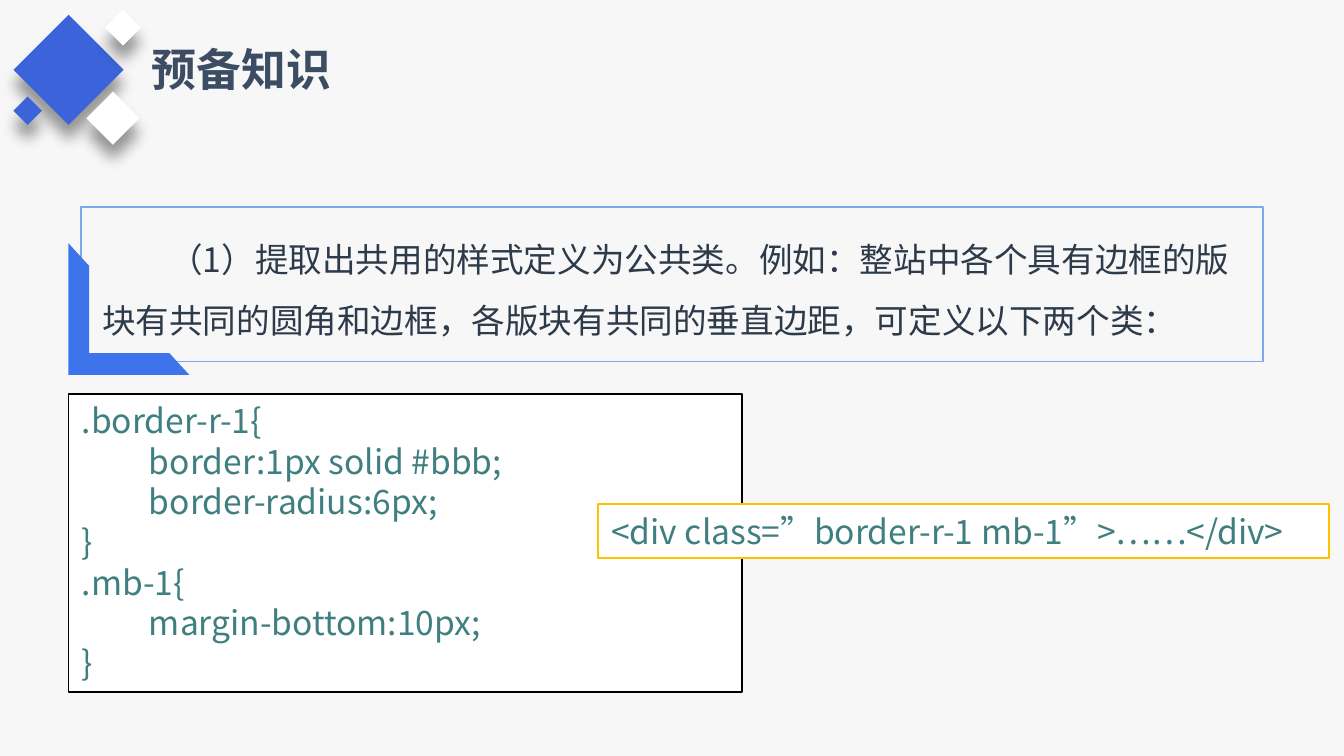
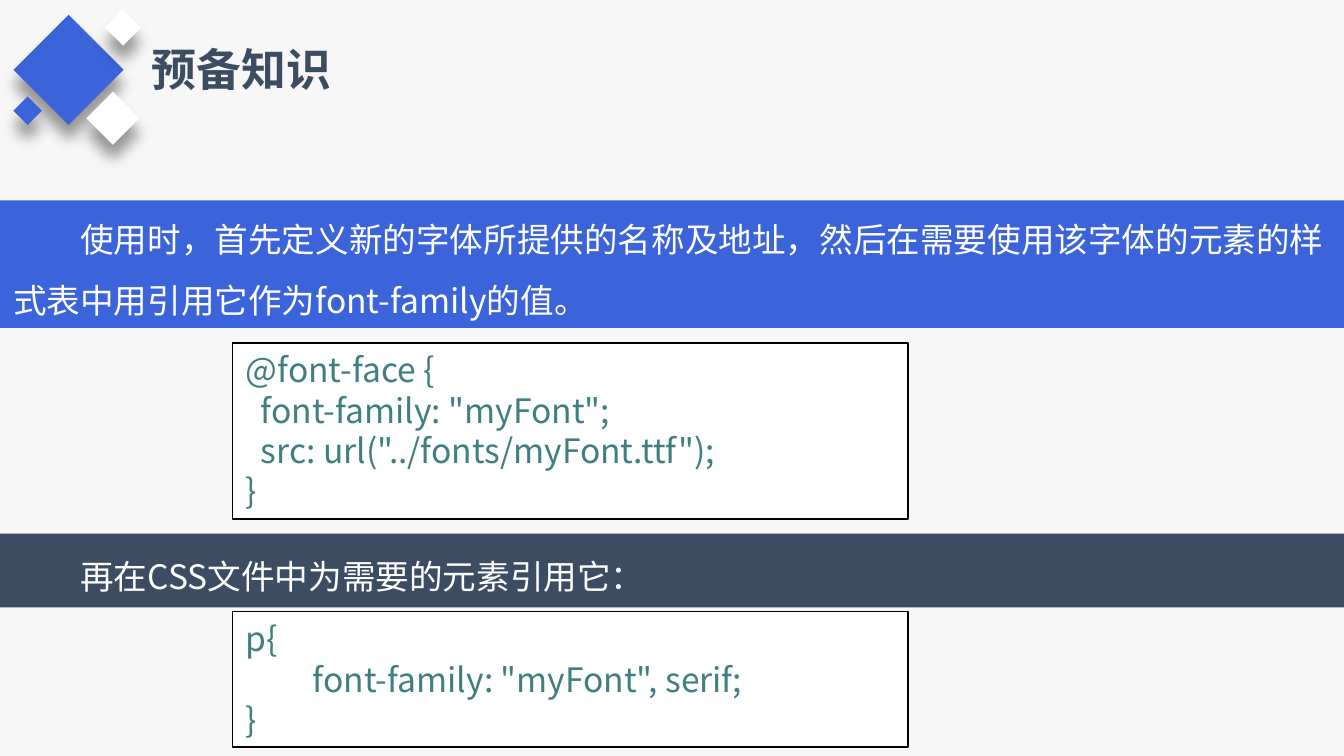
import pptx
import pptx.dml.color
import pptx.enum.shapes
import pptx.enum.text
import pptx.oxml
import pptx.oxml.ns
import pptx.util
from lxml import etree

Inches = pptx.util.Inches
ANCHOR = pptx.enum.text.MSO_ANCHOR
AUTO_SIZE = pptx.enum.text.MSO_AUTO_SIZE
SHAPE = pptx.enum.shapes.MSO_SHAPE

FONT = "Noto Sans CJK SC"
BACKGROUND = "F7F7F7"
BLUE = "3B64DA"
BRIGHT_BLUE = "3D74EB"
PALE_BLUE = "7FA6F2"
SLATE = "3C4D63"
INK = "2D3A4A"
CODE_GREEN = "3F7F7F"
AMBER = "FFC000"
WHITE = "FFFFFF"
BLACK = "000000"

# left, top, side, colour
DIAMONDS = [
    (0.22, 0.23, 0.58, BLUE),
    (0.7, 0.74, 0.28, WHITE),
    (0.82, 0.11, 0.19, WHITE),
    (0.13, 0.75, 0.15, BLUE),
]

SHADOW = (
    f'<a:effectLst {pptx.oxml.ns.nsdecls("a")}>'
    '<a:outerShdw blurRad="101600" dist="101600" dir="5400000" rotWithShape="0">'
    '<a:srgbClr val="000000"><a:alpha val="40000"/></a:srgbClr>'
    "</a:outerShdw></a:effectLst>"
)

CODE_FRAME = {
    "word_wrap": True,
    "auto_size": AUTO_SIZE.SHAPE_TO_FIT_TEXT,
    "vertical_anchor": ANCHOR.TOP,
}
PROSE_FRAME = {
    "word_wrap": True,
    "vertical_anchor": ANCHOR.MIDDLE,
    "margin_left": Inches(0.1),
    "margin_right": Inches(0.1),
    "margin_top": Inches(0.05),
    "margin_bottom": Inches(0.12),
}
TITLE_FRAME = {"word_wrap": False, "auto_size": AUTO_SIZE.SHAPE_TO_FIT_TEXT}


def rgb(colour):
    return pptx.dml.color.RGBColor.from_string(colour)


def set_attributes(target, values):
    for name, value in values.items():
        setattr(target, name, value)


def add_box(slide, frame, fill=None, line=None, kind=SHAPE.RECTANGLE):
    """Add a preset shape; frame is left, top, width, height in inches."""
    shape = slide.shapes.add_shape(kind, *map(Inches, frame))
    shape.shadow.inherit = False
    if fill:
        shape.fill.solid()
        shape.fill.fore_color.rgb = rgb(fill)
    else:
        shape.fill.background()
    if line:
        shape.line.color.rgb = rgb(line)
        shape.line.width = pptx.util.Pt(1)
    else:
        shape.line.fill.background()
    return shape


def write_text(shape, lines, colour, frame_format, size=18, bold=False, line_spacing=None):
    text_frame = shape.text_frame
    set_attributes(text_frame, frame_format)
    for index, line in enumerate(lines):
        paragraph = text_frame.paragraphs[0] if index == 0 else text_frame.add_paragraph()
        set_attributes(paragraph, {
            "alignment": pptx.enum.text.PP_ALIGN.LEFT,
            "line_spacing": line_spacing,
        })
        run = paragraph.add_run()
        run.text = line
        set_attributes(run.font, {"name": FONT, "size": pptx.util.Pt(size), "bold": bold})
        run.font.color.rgb = rgb(colour)
        east_asian = etree.SubElement(run.font._element, pptx.oxml.ns.qn("a:ea"))
        east_asian.set("typeface", FONT)


def add_prose(slide, frame, text, colour, fill=None, line=None, margin_left=0.1):
    """Add a box holding one paragraph with an indented first line."""
    shape = add_box(slide, frame, fill, line)
    frame_format = {**PROSE_FRAME, "margin_left": Inches(margin_left)}
    write_text(shape, [text], colour, frame_format, line_spacing=1.5)
    properties = shape.text_frame.paragraphs[0]._p.get_or_add_pPr()
    properties.set("marL", "0")
    properties.set("indent", str(Inches(0.5)))


def add_code(slide, frame, lines, line=BLACK):
    write_text(add_box(slide, frame, WHITE, line), lines, CODE_GREEN, CODE_FRAME)


def add_corner(slide):
    corner = add_box(slide, (0.47, 1.85, 0.98, 0.9), BRIGHT_BLUE, kind=SHAPE.HALF_FRAME)
    corner.rotation = 270
    corner.adjustments[0] = 0.17
    corner.adjustments[1] = 0.18


def add_titled_slide(presentation, title):
    slide = presentation.slides.add_slide(presentation.slide_layouts[6])
    title_box = slide.shapes.add_textbox(*map(Inches, (1.03, 0.26, 1.54, 0.5)))
    write_text(title_box, [title], SLATE, TITLE_FRAME, size=24, bold=True)
    for left, top, side, colour in DIAMONDS:
        diamond = add_box(slide, (left, top, side, side), colour)
        diamond.rotation = 45
        properties = diamond._element.spPr
        properties.replace(
            properties.find(pptx.oxml.ns.qn("a:effectLst")), pptx.oxml.parse_xml(SHADOW)
        )
    return slide


def build_common_classes(presentation):
    slide = add_titled_slide(presentation, "预备知识")
    add_prose(
        slide, (0.6, 1.54, 8.8, 1.15),
        "（1）提取出共用的样式定义为公共类。例如：整站中各个具有边框的版块有共同的圆角和边框，"
        "各版块有共同的垂直边距，可定义以下两个类：",
        INK, line=PALE_BLUE, margin_left=0.16,
    )
    add_corner(slide)
    add_code(slide, (0.51, 2.93, 5.01, 2.22), [
        ".border-r-1{",
        "\tborder:1px solid #bbb;",
        "\tborder-radius:6px;",
        "}",
        ".mb-1{",
        "\tmargin-bottom:10px;",
        "}",
    ])
    add_code(slide, (4.45, 3.75, 5.44, 0.4),
             ["<div class=”border-r-1 mb-1”>……</div>"], AMBER)


def build_font_face(presentation):
    slide = add_titled_slide(presentation, "预备知识")
    add_prose(
        slide, (0, 1.49, 10, 0.95),
        "使用时，首先定义新的字体所提供的名称及地址，然后在需要使用该字体的元素的样式表中用引用它作为"
        "font-family的值。",
        WHITE, fill=BLUE,
    )
    add_prose(slide, (0, 3.97, 10, 0.55), "再在CSS文件中为需要的元素引用它：", WHITE, fill=SLATE)
    add_code(slide, (1.73, 2.55, 5.03, 1.31), [
        "@font-face {",
        '  font-family: "myFont";',
        '  src: url("../fonts/myFont.ttf");',
        "}",
    ])
    add_code(slide, (1.73, 4.55, 5.03, 1.01), [
        "p{",
        '\tfont-family: "myFont", serif;',
        "}",
    ])


def main():
    presentation = pptx.Presentation()
    presentation.slide_width = Inches(10)
    presentation.slide_height = presentation.slide_width * 9 // 16
    background = presentation.slide_master.background.fill
    background.solid()
    background.fore_color.rgb = rgb(BACKGROUND)
    build_common_classes(presentation)
    build_font_face(presentation)
    presentation.save("out.pptx")


if __name__ == "__main__":
    main()
